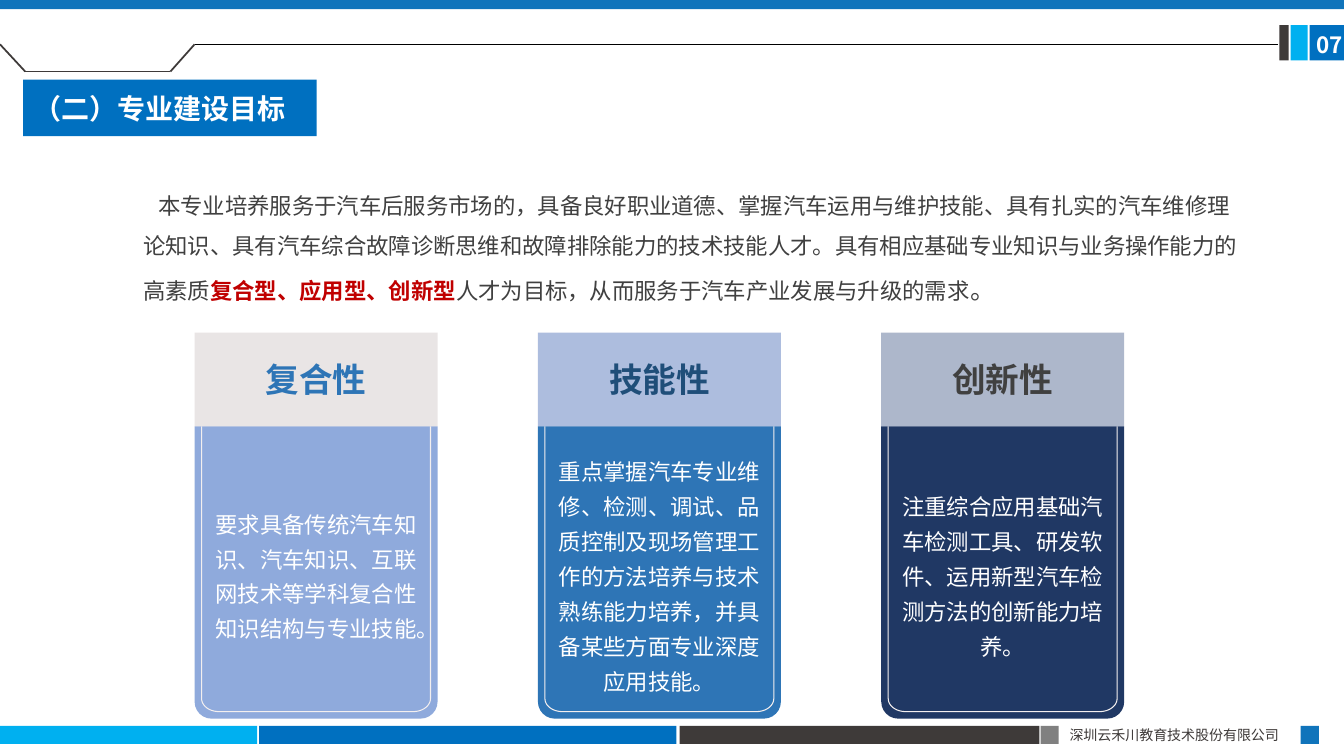
import math
from dataclasses import dataclass

from lxml import etree
from pptx import Presentation
from pptx.dml.color import RGBColor
from pptx.enum.shapes import MSO_CONNECTOR, MSO_SHAPE
from pptx.enum.text import MSO_ANCHOR, PP_ALIGN
from pptx.oxml.ns import qn
from pptx.util import Inches, Pt

RECTANGLE = MSO_SHAPE.RECTANGLE
ROUNDED_BOTTOM = MSO_SHAPE.ROUND_2_SAME_RECTANGLE
STRAIGHT = MSO_CONNECTOR.STRAIGHT
TOP, MIDDLE = MSO_ANCHOR.TOP, MSO_ANCHOR.MIDDLE
LEFT, CENTER, JUSTIFY = PP_ALIGN.LEFT, PP_ALIGN.CENTER, PP_ALIGN.JUSTIFY


@dataclass(frozen=True)
class Theme:
    font: str = "Noto Sans CJK SC"
    title_font: str = "Calibri"
    white: str = "FFFFFF"
    black: str = "000000"
    blue: str = "0070C0"
    bar_blue: str = "1074BB"
    sky: str = "00B0F0"
    dark: str = "3E3A39"
    gray: str = "808080"
    text: str = "404040"
    red: str = "C00000"
    outline: str = "F3EFEF"
    footer_size: int = 10
    body_size: int = 16
    stop_size: int = 18
    title_size: int = 20
    heading_size: int = 24


theme = Theme()


def add_block(left, top, width, height, color, kind=RECTANGLE):
    """Add a filled shape without line or shadow."""
    shape = slide.shapes.add_shape(
        kind, Inches(left), Inches(top), Inches(width), Inches(height))
    shape.shadow.inherit = False
    shape.fill.solid()
    shape.fill.fore_color.rgb = RGBColor.from_string(color)
    shape.line.fill.background()
    return shape


def write_text(shape, *runs, size=theme.body_size, color=theme.white, bold=False,
               font=theme.font, align=LEFT, anchor=TOP, spacing=1.0, indent=0,
               margins=(0.1, 0.05, 0.1, 0.05)):
    """Write one paragraph; each run is a text and a dict of its own format."""
    frame = shape.text_frame
    frame.word_wrap = True
    frame.vertical_anchor = anchor
    (frame.margin_left, frame.margin_top,
     frame.margin_right, frame.margin_bottom) = map(Inches, margins)
    paragraph = frame.paragraphs[0]
    paragraph.alignment = align
    paragraph.line_spacing = spacing
    if indent:
        paragraph._p.get_or_add_pPr().set("indent", str(Inches(indent)))
    for text, own in runs:
        run = paragraph.add_run()
        run.text = text
        run.font.size = Pt(own.get("size", size))
        run.font.bold = own.get("bold", bold)
        run.font.color.rgb = RGBColor.from_string(own.get("color", color))
        run.font.name = font
        east_asian = etree.SubElement(run._r.get_or_add_rPr(), qn("a:ea"))
        east_asian.set("typeface", theme.font)


presentation = Presentation()
presentation.slide_width = Inches(13.33)
presentation.slide_height = Inches(7.5)
slide = presentation.slides.add_slide(presentation.slide_layouts[6])

# Footer, page marker and top bar
for block in (
    (0, 7.2, 2.55, 0.18, theme.sky),
    (2.57, 7.2, 4.14, 0.18, theme.blue),
    (6.74, 7.2, 3.57, 0.18, theme.dark),
    (10.32, 7.2, 0.18, 0.18, theme.gray),
    (12.9, 7.2, 0.18, 0.18, theme.bar_blue),
    (12.99, 0.25, 0.35, 0.35, theme.blue),
    (12.8, 0.25, 0.17, 0.35, theme.sky),
    (12.69, 0.25, 0.09, 0.35, theme.dark),
    (0, 0, 13.33, 0.09, theme.bar_blue),
):
    add_block(*block)

footer = slide.shapes.add_textbox(Inches(10.51), Inches(7.16), Inches(2.4), Inches(0.27))
write_text(footer, ("深圳云禾川教育技术股份有限公司", {}),
           size=theme.footer_size, color=theme.dark, align=JUSTIFY)

page_number = slide.shapes.add_textbox(Inches(12.96), Inches(0.26), Inches(0.5), Inches(0.37))
write_text(page_number, ("07", {}), bold=True)

# Header line with its notch
header_points = [(0, 0.44), (0.25, 0.71), (1.69, 0.71), (1.93, 0.44), (12.68, 0.44)]
header_styles = [(theme.dark, 1.25)] * 3 + [(theme.black, 0.5)]
for start, end, (color, width) in zip(header_points, header_points[1:], header_styles):
    connector = slide.shapes.add_connector(STRAIGHT, *map(Inches, start + end))
    connector.line.color.rgb = RGBColor.from_string(color)
    connector.line.width = Pt(width)
    etree.SubElement(connector._element.spPr, qn("a:effectLst"))

title = add_block(0.23, 0.79, 2.91, 0.56, theme.blue)
write_text(title, ("（二）专业建设目标", {}), size=theme.title_size, bold=True,
           font=theme.title_font, anchor=MIDDLE)

introduction = slide.shapes.add_textbox(Inches(1.33), Inches(1.73), Inches(11.15), Inches(1.35))
write_text(
    introduction,
    ("本专业培养服务于汽车后服务市场的，具备良好职业道德、掌握汽车运用与维护技能、"
     "具有扎实的汽车维修理论知识、具有汽车综合故障诊断思维和故障排除能力的技术技能人才。"
     "具有相应基础专业知识与业务操作能力的高素质", {}),
    ("复合型、应用型、创新型", {"color": theme.red, "bold": True}),
    ("人才为目标，从而服务于汽车产业发展与升级的需求", {}),
    ("。", {"size": theme.stop_size}),
    color=theme.text, spacing=1.5, indent=0.15, margins=(0.09, 0.04, 0.09, 0.04))

# Three cards: body, translucent heading, inner outline
CARD_LEFT, CARD_STEP, CARD_WIDTH = 1.93, 3.405, 2.41
HEADING_TOP, HEADING_HEIGHT = 3.3, 0.93
BODY_TOP, BODY_HEIGHT = 4.23, 2.9
INSET, CORNER_WIDTH, CORNER_HEIGHT = 0.07, 0.17, 0.13
ARC_STEPS = 12
cards = (
    ("复合性", "2E75B6", "BDAFAF", "8FAADC",
     "要求具备传统汽车知识、汽车知识、互联网技术等学科复合性知识结构与专业技能。"),
    ("技能性", "1F4E79", "003399", "2E75B6",
     "重点掌握汽车专业维修、检测、调试、品质控制及现场管理工作的方法培养与技术"
     "熟练能力培养，并具备某些方面专业深度应用技能。"),
    ("创新性", theme.text, "002060", "203864",
     "注重综合应用基础汽车检测工具、研发软件、运用新型汽车检测方法的创新能力培养。"),
)
for index, (name, name_color, heading_color, body_color, description) in enumerate(cards):
    left = CARD_LEFT + index * CARD_STEP

    body = add_block(left, BODY_TOP, CARD_WIDTH, BODY_HEIGHT, body_color, ROUNDED_BOTTOM)
    body.adjustments[0] = 0
    body.adjustments[1] = 0.07
    write_text(body, (description, {}), align=CENTER, anchor=MIDDLE, spacing=1.3,
               margins=(0.1, 0.05, 0.1, 0))

    heading = add_block(left, HEADING_TOP, CARD_WIDTH, HEADING_HEIGHT, heading_color)
    fill_color = heading._element.spPr.find(qn("a:solidFill")).find(qn("a:srgbClr"))
    etree.SubElement(fill_color, qn("a:alpha")).set("val", "32000")
    write_text(heading, (name, {}), size=theme.heading_size, color=name_color, bold=True,
               align=CENTER, anchor=MIDDLE, margins=(0.04,) * 4)

    inner_left, inner_right = left + INSET, left + CARD_WIDTH - INSET
    arc_top = BODY_TOP + BODY_HEIGHT - INSET - CORNER_HEIGHT
    angles = [math.pi / 2 * step / ARC_STEPS for step in range(ARC_STEPS + 1)]
    left_arc = [(inner_left + CORNER_WIDTH * (1 - math.cos(angle)),
                 arc_top + CORNER_HEIGHT * math.sin(angle)) for angle in angles]
    right_arc = [(inner_left + inner_right - x, y) for x, y in reversed(left_arc)]
    points = left_arc + right_arc + [(inner_right, BODY_TOP)]
    builder = slide.shapes.build_freeform(Inches(inner_left), Inches(BODY_TOP))
    builder.add_line_segments([(Inches(x), Inches(y)) for x, y in points], close=False)
    outline = builder.convert_to_shape()
    outline.shadow.inherit = False
    outline.fill.background()
    outline.line.color.rgb = RGBColor.from_string(theme.outline)
    outline.line.width = Pt(0.75)

presentation.save("out.pptx")
